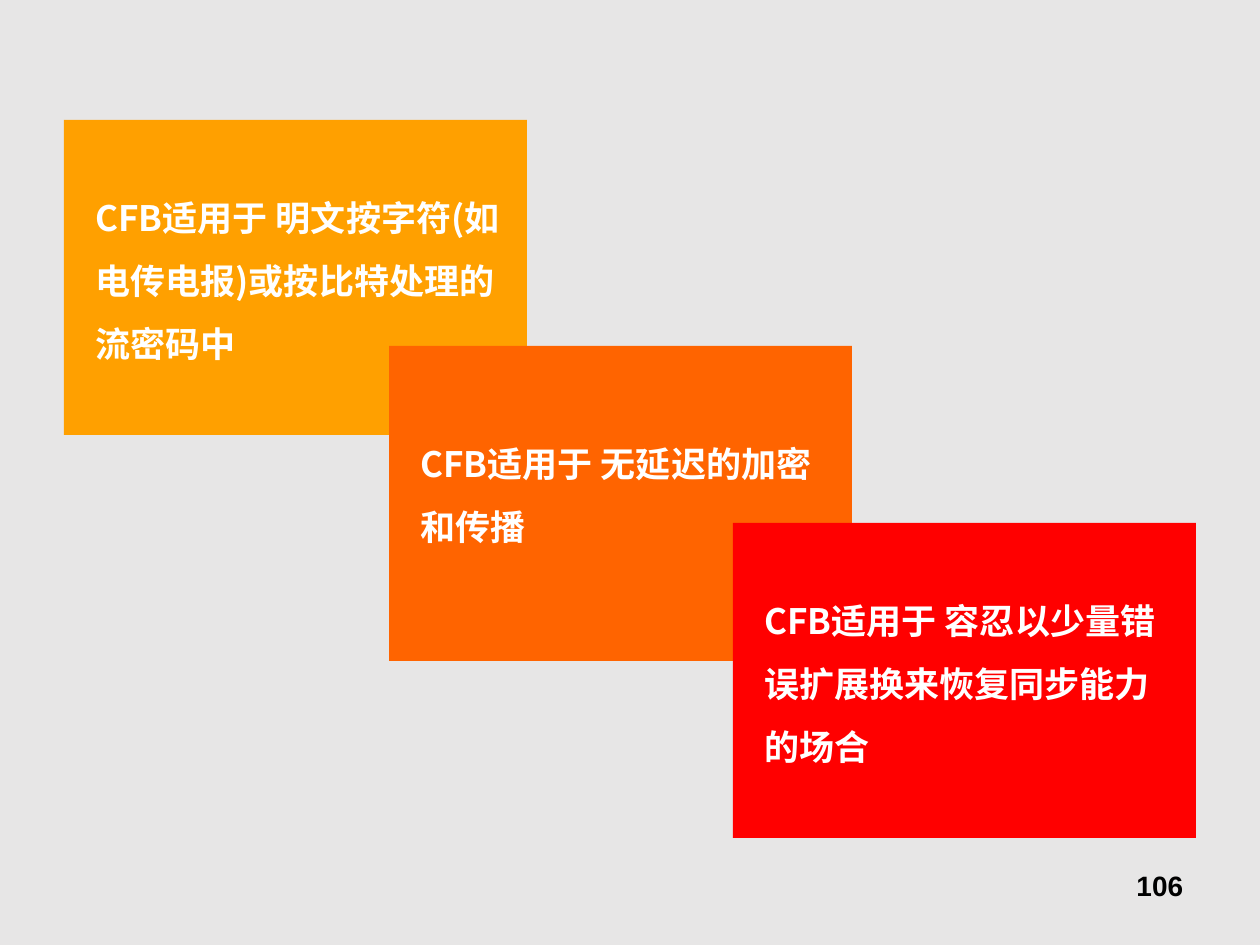
from dataclasses import dataclass
from lxml.etree import SubElement
from pptx import Presentation
from pptx.dml.color import RGBColor as RGB
from pptx.enum.shapes import MSO_SHAPE as Shape
from pptx.enum.text import MSO_AUTO_SIZE as Fit, PP_ALIGN as Align
from pptx.oxml.ns import qn
from pptx.util import Pt

PX = 914400 / 126


@dataclass(frozen=True)
class Theme:
    back: str = "E7E6E6"
    light: str = "FFFFFF"
    dark: str = "000000"
    cards: tuple = ("FFA000", "FF6400", "FF0000")
    body: int = 20
    page: int = 16
    han: str = "Noto Sans CJK SC"
    latin: str = "Arial"


theme = Theme()


def px(*sizes):
    return [round(size * PX) for size in sizes]


def write(tree, box, text, face, size, color):
    """Add a bold one-paragraph text box and return it with its paragraph."""
    label = tree.add_textbox(*px(*box))
    frame = label.text_frame
    frame.word_wrap = True
    frame.text = text
    para = frame.paragraphs[0]
    for run in para.runs:
        font = run.font
        font.name, font.size, font.bold = face, Pt(size), True
        font.color.rgb = RGB.from_string(color)
        SubElement(font._element, qn("a:ea")).set("typeface", face)
    return label, para


deck = Presentation()
deck.slide_width, deck.slide_height = px(1260, 945)
slide = deck.slides.add_slide(deck.slide_layouts[6])
fill = slide.background.fill
fill.solid()
fill.fore_color.rgb = RGB.from_string(theme.back)

label, para = write(slide.shapes, (903, 861, 294, 66), "106",
                    theme.latin, theme.page, theme.dark)
para.alignment = Align.RIGHT
frame = label.text_frame
frame.margin_left, frame.margin_right = px(14, 14)
frame.margin_top, frame.margin_bottom = px(8, 8)

# Left, top, text offset, text height, wording
cards = [
    (64, 120, 49, 202, "CFB适用于 明文按字符(如电传电报)或按比特处理的流密码中"),
    (389, 346, 69, 139, "CFB适用于 无延迟的加密和传播"),
    (733, 523, 49, 265, "CFB适用于 容忍以少量错误扩展换来恢复同步能力的场合"),
]
for (left, top, drop, high, text), color in zip(cards, theme.cards):
    group = slide.shapes.add_group_shape()
    card = group.shapes.add_shape(Shape.RECTANGLE, *px(left, top, 463, 315))
    card.shadow.inherit = False
    card.fill.solid()
    card.fill.fore_color.rgb = RGB.from_string(color)
    card.line.fill.background()
    label, para = write(group.shapes, (left + 19, top + drop, 436, high), text,
                        theme.han, theme.body, theme.light)
    label.text_frame.auto_size = Fit.SHAPE_TO_FIT_TEXT
    para.line_spacing = 1.5

deck.save("out.pptx")
